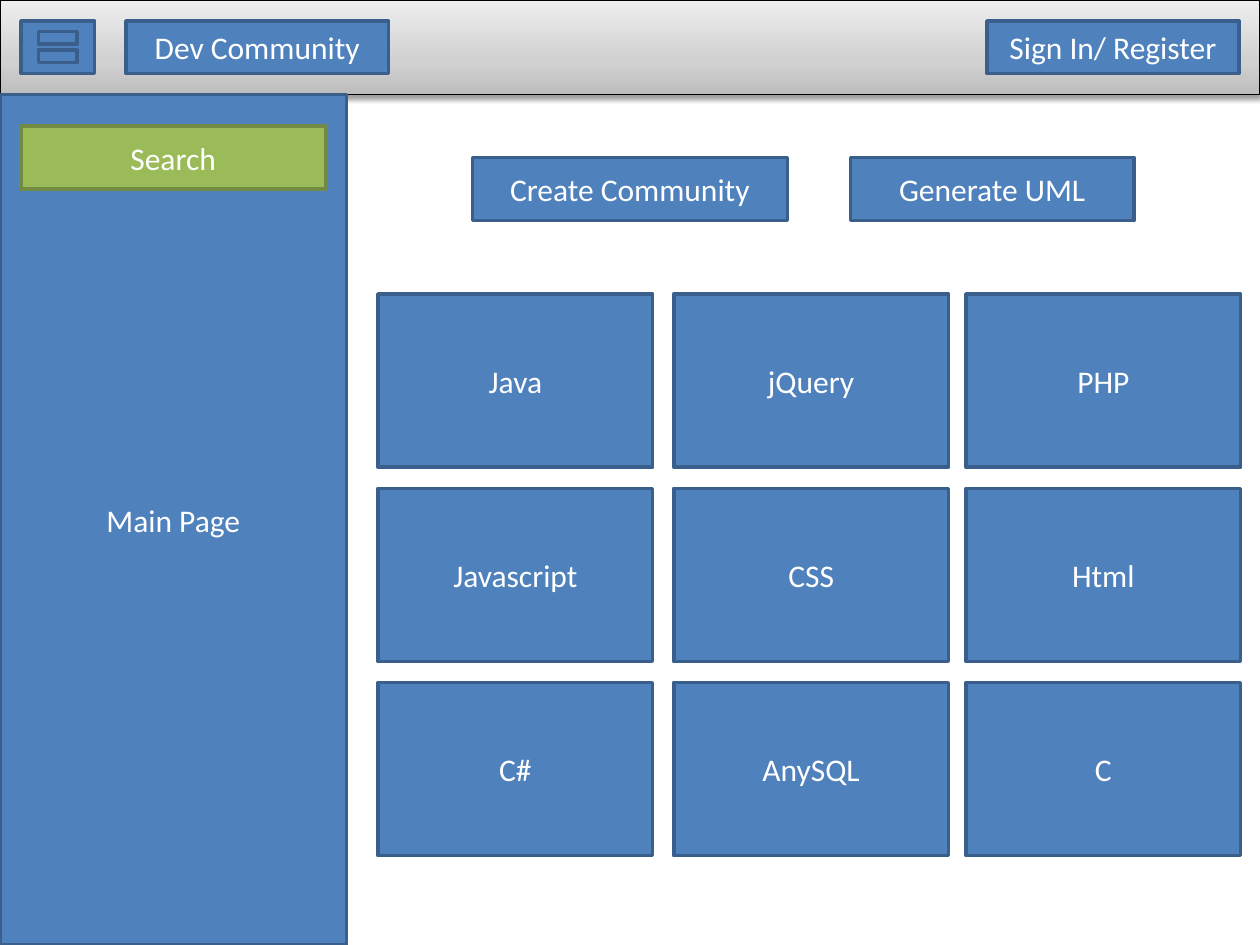
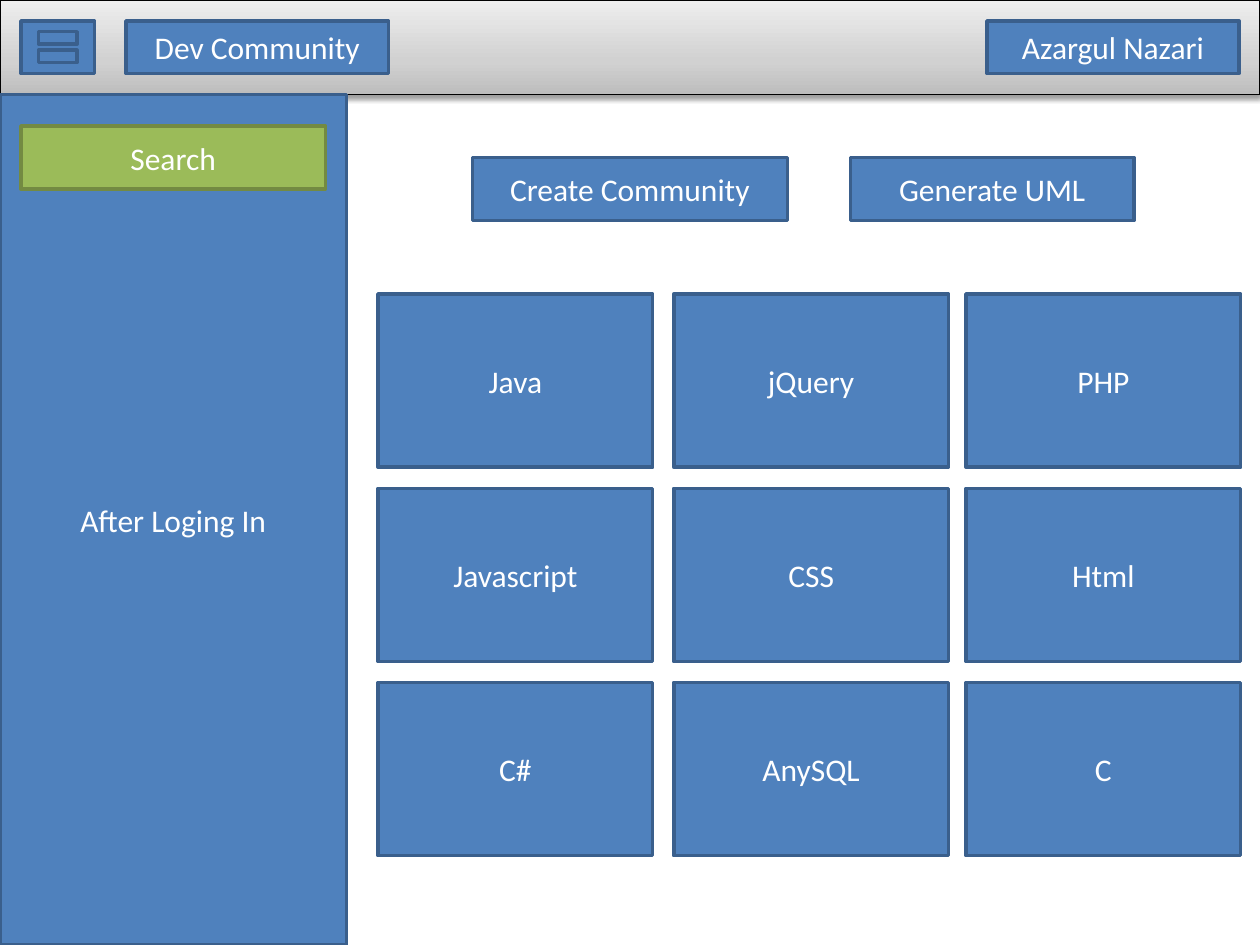
import itertools

import pptx
import pptx.dml.color
import pptx.enum.shapes
import pptx.enum.text
import pptx.oxml
import pptx.oxml.ns
import pptx.util

PAGES = [
    {"sidebar": "Main Page", "account": "Sign In/ Register"},
    {"sidebar": "After Loging In", "account": "Azargul Nazari"},
]
SITE = "Dev Community"
SEARCH = "Search"
ACTIONS = [("Create Community", 270, 180), ("Generate UML", 486, 162)]
TOPICS = [
    ["Java", "jQuery", "PHP"],
    ["Javascript", "CSS", "Html"],
    ["C#", "AnySQL", "C"],
]

COLOURS = {
    "blue": "4F81BD",
    "blue_edge": "3A5F8C",
    "green": "9BBB59",
    "green_edge": "738A42",
    "text": "FFFFFF",
    "header_edge": "000000",
    "shadow": "000000",
}
HEADER_STOPS = [(0, "BDBDBD"), (35, "D1D1D1"), (100, "EEEEEE")]
FONT = "Calibri"

PAGE_WIDTH, PAGE_HEIGHT = 720, 540
HEADER_HEIGHT = 54
SIDEBAR_WIDTH = 198
MARGIN = 12
HEADER_BUTTON_HEIGHT = HEADER_HEIGHT - 2 * MARGIN
ACCOUNT_WIDTH = 144
ACTION_TOP, ACTION_HEIGHT = 90, 36
TOPIC_LEFTS = [216, 385, 552]
TOPIC_TOP, TOPIC_PITCH = 168, 111
TOPIC_WIDTH, TOPIC_HEIGHT = 157, 99

SHAPES = pptx.enum.shapes.MSO_SHAPE
Pt = pptx.util.Pt


def rgb(colour):
    return pptx.dml.color.RGBColor.from_string(COLOURS[colour])


def add_block(slide, text, *, at, colour="blue", edge="blue_edge", edge_width=2,
              kind=SHAPES.RECTANGLE, size=18):
    block = slide.shapes.add_shape(kind, *(Pt(length) for length in at))
    block.shadow.inherit = False
    block.fill.solid()
    block.fill.fore_color.rgb = rgb(colour)
    block.line.color.rgb = rgb(edge)
    block.line.width = Pt(edge_width)
    if text:
        frame = block.text_frame
        frame.word_wrap = True
        frame.vertical_anchor = pptx.enum.text.MSO_ANCHOR.MIDDLE
        paragraph = frame.paragraphs[0]
        paragraph.alignment = pptx.enum.text.PP_ALIGN.CENTER
        run = paragraph.add_run()
        run.text = text
        run.font.name = FONT
        run.font.size = Pt(size)
        run.font.color.rgb = rgb("text")
    return block


def add_header(slide):
    header = add_block(slide, "", at=(0, 0, PAGE_WIDTH, HEADER_HEIGHT),
                       edge="header_edge", edge_width=0.75)
    header.fill.gradient()
    header.fill.gradient_angle = 90
    namespace = pptx.oxml.ns.nsdecls("a")
    properties = header._element.spPr
    stops = properties.find(".//" + pptx.oxml.ns.qn("a:gsLst"))
    for stop in list(stops):
        stops.remove(stop)
    for position, colour in HEADER_STOPS:
        stops.append(pptx.oxml.parse_xml(
            f'<a:gs {namespace} pos="{position * 1000}"><a:srgbClr val="{colour}"/></a:gs>'))
    effects = properties.find(pptx.oxml.ns.qn("a:effectLst"))
    effects.append(pptx.oxml.parse_xml(
        f'<a:outerShdw {namespace} blurRad="{Pt(3.1)}" dist="{Pt(1.6)}" dir="5400000" '
        f'rotWithShape="0"><a:srgbClr val="{COLOURS["shadow"]}">'
        '<a:alpha val="38000"/></a:srgbClr></a:outerShdw>'))


def build_page(slide, sidebar, account):
    add_header(slide)
    add_block(slide, sidebar,
              at=(0, HEADER_HEIGHT, SIDEBAR_WIDTH, PAGE_HEIGHT - HEADER_HEIGHT))
    account_left = PAGE_WIDTH - MARGIN - ACCOUNT_WIDTH
    for label, left, width in [(account, account_left, ACCOUNT_WIDTH),
                               ("", MARGIN, 42), (SITE, 72, 150)]:
        add_block(slide, label, at=(left, MARGIN, width, HEADER_BUTTON_HEIGHT))
    add_block(slide, "", at=(18, MARGIN, 30, HEADER_BUTTON_HEIGHT), kind=SHAPES.MATH_EQUAL)
    add_block(slide, SEARCH, at=(MARGIN, 72, SIDEBAR_WIDTH - 2 * MARGIN, 36),
              colour="green", edge="green_edge")
    for action, left, width in ACTIONS:
        add_block(slide, action, at=(left, ACTION_TOP, width, ACTION_HEIGHT))
    for row, column in itertools.product(range(len(TOPICS)), range(len(TOPIC_LEFTS))):
        add_block(slide, TOPICS[row][column],
                  at=(TOPIC_LEFTS[column], TOPIC_TOP + row * TOPIC_PITCH,
                      TOPIC_WIDTH, TOPIC_HEIGHT))


def main():
    deck = pptx.Presentation()
    deck.slide_width, deck.slide_height = Pt(PAGE_WIDTH), Pt(PAGE_HEIGHT)
    for page in PAGES:
        build_page(deck.slides.add_slide(deck.slide_layouts[6]), **page)
    deck.save("out.pptx")


if __name__ == "__main__":
    main()
